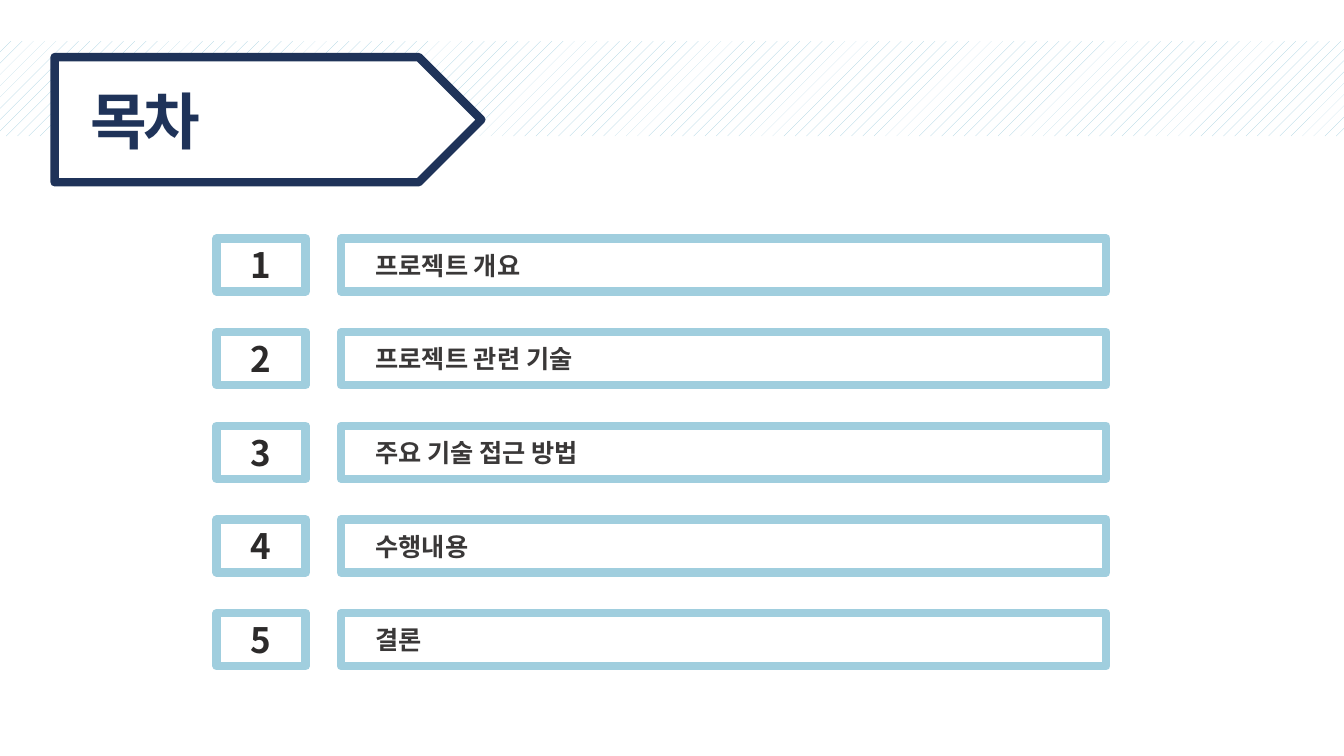
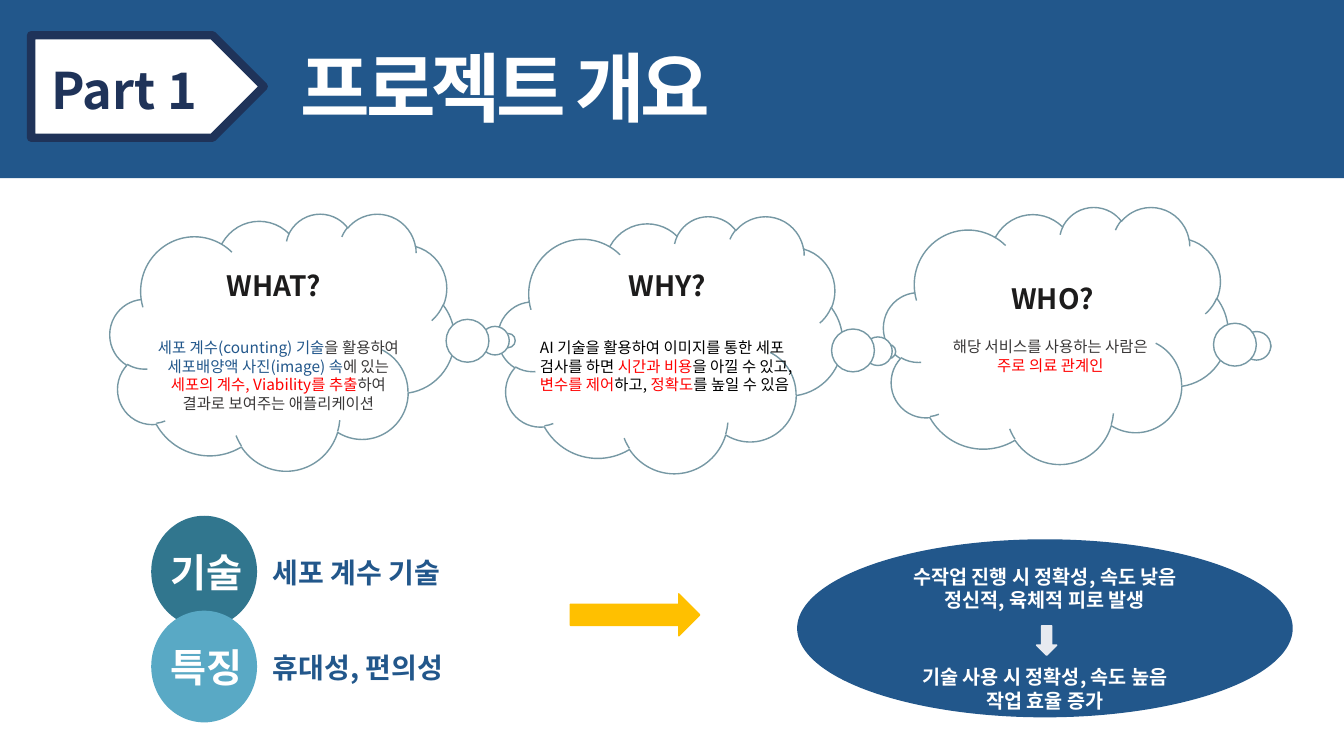
from dataclasses import dataclass

from lxml import etree
from pptx import Presentation
from pptx import util as u
from pptx.dml.color import RGBColor
from pptx.enum import dml, shapes, text
from pptx.oxml import ns


@dataclass(frozen=True)
class Theme:
    font: str = "Noto Sans CJK KR"
    white: str = "FFFFFF"
    black: str = "000000"
    navy: str = "1F3359"
    blue: str = "22578B"
    sky: str = "A0CEDE"
    teal: str = "31768E"
    aqua: str = "59A9C5"
    cloud: str = "7698A4"
    red: str = "FF0000"
    gold: str = "FFC000"
    pale: str = "E7EAF0"
    ink: str = "3A3838"
    number: str = "2C2A2A"
    heading: str = "1D1C1C"
    frame: float = 6
    small: float = 11
    note: float = 14
    item: float = 18
    label: float = 20
    digit: float = 25
    badge: float = 28
    plate: float = 36
    agenda: float = 44
    title: float = 54
    leading: float = 1.2


T = Theme()
KIND = shapes.MSO_SHAPE
LEFT, CENTER = text.PP_ALIGN.LEFT, text.PP_ALIGN.CENTER
TOP, MIDDLE = text.MSO_ANCHOR.TOP, text.MSO_ANCHOR.MIDDLE

prs = Presentation()
prs.slide_width, prs.slide_height = u.Inches(13.333), u.Inches(7.5)
CELL = prs.slide_height / 90


def box(s, kind, x, y, w, h, fill=None, line=None, width=1):
    place = [round(v * CELL) for v in (x, y, w, h)]
    if kind is None:
        return s.shapes.add_textbox(*place)
    sp = s.shapes.add_shape(kind, *place)
    sp.shadow.inherit = False
    sp.fill.solid()
    sp.fill.fore_color.rgb = RGBColor.from_string(fill)
    if line:
        sp.line.color.rgb = RGBColor.from_string(line)
        sp.line.width = u.Pt(width)
    else:
        sp.line.fill.background()
    return sp


def write(sp, paras, size, color, bold=True, align=CENTER, anchor=MIDDLE, wrap=True, spc=0):
    tf = sp.text_frame
    tf.word_wrap = wrap
    tf.auto_size = text.MSO_AUTO_SIZE.NONE
    tf.vertical_anchor = anchor
    for i, runs in enumerate(paras):
        p = tf.paragraphs[0] if i == 0 else tf.add_paragraph()
        p.alignment = align
        p.line_spacing = u.Pt(size * T.leading)
        for words, tint in [(runs, color)] if isinstance(runs, str) else runs:
            r = p.add_run()
            r.text = words
            r.font.name, r.font.size, r.font.bold = T.font, u.Pt(size), bold
            r.font.color.rgb = RGBColor.from_string(tint)
            rpr = r._r.get_or_add_rPr()
            etree.SubElement(rpr, ns.qn("a:ea")).set("typeface", T.font)
            if spc:
                rpr.set("spc", str(spc))
    return tf


pages = [
    ("목차", T.agenda, T.navy, (9.6, 9.2, 36, 10.1), (6.5, 6.8, 50.8, 14.9)),
    ("프로젝트 개요", T.title, T.white, (34.6, 4.2, 80, 12.1), (3.7, 4.2, 27.7, 12.2)),
]
slides, plates = [], []
for words, size, color, place, plate in pages:
    s = prs.slides.add_slide(prs.slide_layouts[5])
    if not slides:
        band = box(s, KIND.RECTANGLE, 0, 4.9, 160, 11.3, T.white)
        band.fill.patterned()
        band.fill.pattern = dml.MSO_PATTERN.PERCENT_10
        band.fill.fore_color.rgb = RGBColor.from_string(T.sky)
        band.fill.back_color.rgb = RGBColor.from_string(T.white)
    else:
        box(s, KIND.RECTANGLE, 0, 0, 160, 21.2, T.blue)
    plates.append(box(s, KIND.PENTAGON, *plate, T.white, T.navy, T.frame))
    title = s.shapes.title
    title.left, title.top, title.width, title.height = [round(v * CELL) for v in place]
    write(title, [words], size, color, align=LEFT, wrap=False, spc=-300)
    s.shapes._spTree.append(title.element)
    slides.append(s)

agenda, overview = slides
items = ["프로젝트 개요", "프로젝트 관련 기술", "주요 기술 접근 방법", "수행내용", "결론"]
for i, item in enumerate(items):
    y = 28.4 + 11.15 * i
    num = box(agenda, KIND.RECTANGLE, 25.8, y, 10.6, 6.3, T.white, T.sky, T.frame)
    write(num, [str(i + 1)], T.digit, T.number)
    bar = box(agenda, KIND.RECTANGLE, 40.6, y, 91.1, 6.3, T.white, T.sky, T.frame)
    tf = write(bar, [item], T.item, T.ink, align=LEFT)
    tf.margin_left = round(4.1 * CELL)

tf = write(plates[1], ["Part 1"], T.plate, T.navy, align=LEFT, wrap=False)
tf.margin_left, tf.margin_right = round(2.4 * CELL), 0
tf.margin_top, tf.margin_bottom = round(0.6 * CELL), 0

clouds = [
    ("WHO?", (105.2, 24.6), (0.604, 0.043), (116.7, 32.9), (111.2, 39.6, 27.7), CENTER, [
        "해당 서비스를 사용하는 사람은",
        [("주로 의료 관계인", T.red)],
    ]),
    ("WHY?", (59.3, 25.7), (0.634, 0.028), (70.8, 31.4), (63.1, 39.7, 34.8), LEFT, [
        [("AI 기술을 활용하여 이미지를 통한 세포 검사를 하면 ", T.black),
         ("시간과 비용", T.red), ("을 아낄 수 있고, ", T.black),
         ("변수를 제어", T.red), ("하고, ", T.black),
         ("정확도", T.red), ("를 높일 수 있음", T.black)],
    ]),
    ("WHAT?", (13.1, 25.4), (0.656, -0.005), (24, 31.4), (16, 39.7, 34.3), CENTER, [
        [("세포 계수(counting) 기술", T.blue), ("을 활용하여", T.ink)],
        [("세포배양액 사진(image) 속", T.blue), ("에 있는", T.ink)],
        [("세포의 계수, Viability를 추출", T.red), ("하여", T.ink)],
        "결과로 보여주는 애플리케이션",
    ]),
]
for head, corner, tail, spot, (x, y, w), align, paras in clouds:
    sp = box(overview, KIND.CLOUD_CALLOUT, *corner, 41, 30.6, T.white, T.cloud)
    for i, value in enumerate(tail):
        sp.adjustments[i] = value
    write(box(overview, None, *spot, 17.2, 5.3), [head], T.label, T.heading, anchor=TOP)
    write(box(overview, None, x, y, w, 10.1), paras, T.small, T.ink, False, align, TOP)

points = [("기술", "세포 계수 기술", T.teal), ("특징", "휴대성, 편의성", T.aqua)]
for i, (badge, label, fill) in enumerate(points):
    y = 61.4 + 11.3 * i
    sp = box(overview, KIND.OVAL, 18, y, 12.6, 13.3, fill)
    tf = write(sp, [badge], T.badge, T.white, wrap=False)
    tf.margin_left, tf.margin_right = round(0.5 * CELL), 0
    sp = box(overview, None, 31.3, y + 4.1, 26, 5.3)
    write(sp, [label], T.label, T.blue, align=LEFT)

effect = box(overview, KIND.OVAL, 94.9, 64.2, 59, 21.2, T.blue)
tf = write(effect, [
    "수작업 진행 시 정확성, 속도 낮음",
    "정신적, 육체적 피로 발생",
    "기술 사용 시 정확성, 속도 높음",
    "작업 효율 증가",
], T.note, T.white)
tf.margin_top, tf.margin_bottom = round(2.4 * CELL), 0
tf.paragraphs[2].space_before = u.Pt(38)

box(overview, KIND.RIGHT_ARROW, 67.9, 70.7, 15.4, 5, T.gold, T.gold)
box(overview, KIND.DOWN_ARROW, 123.4, 74.5, 2.4, 3.5, T.pale, T.pale)

prs.save("out.pptx")
